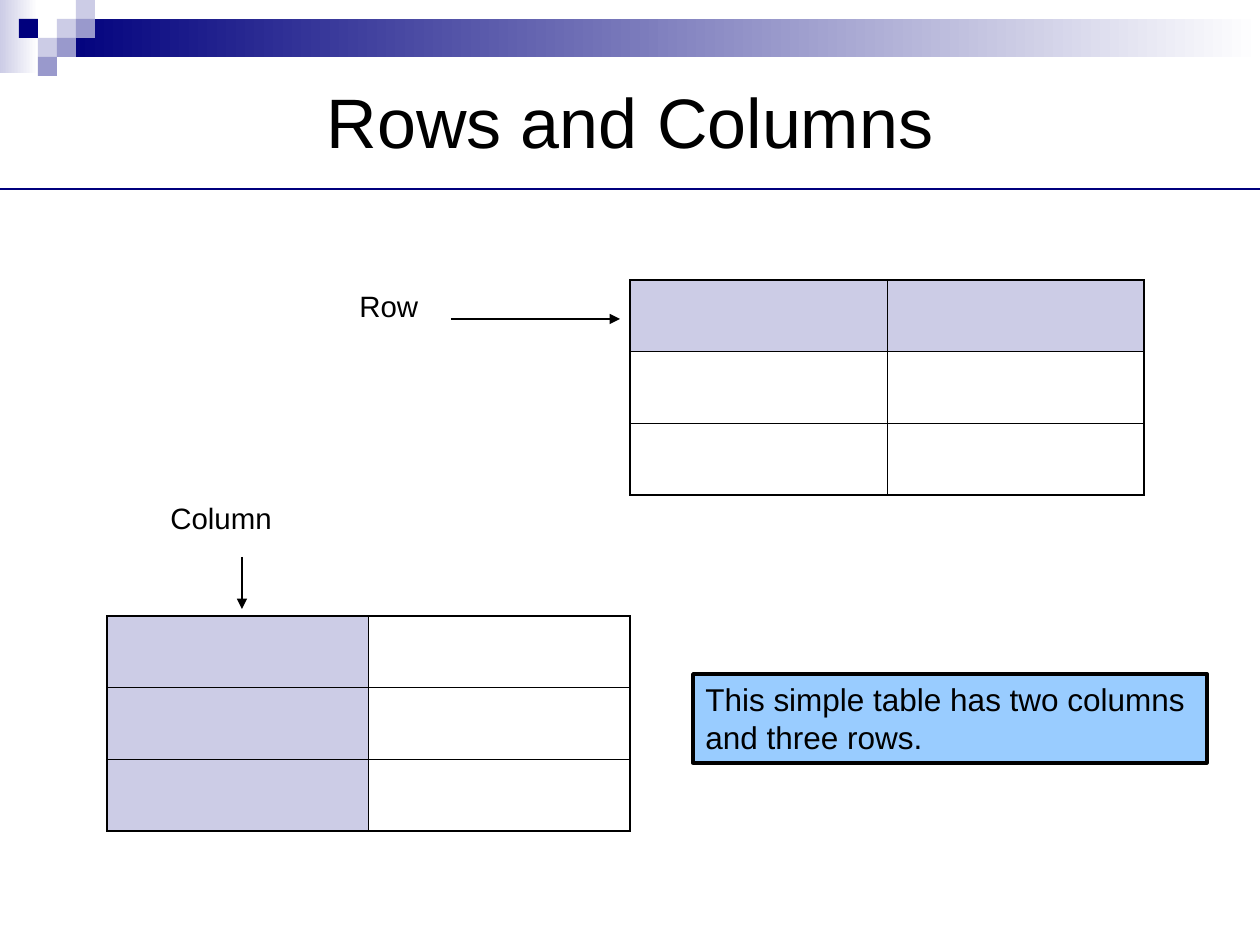
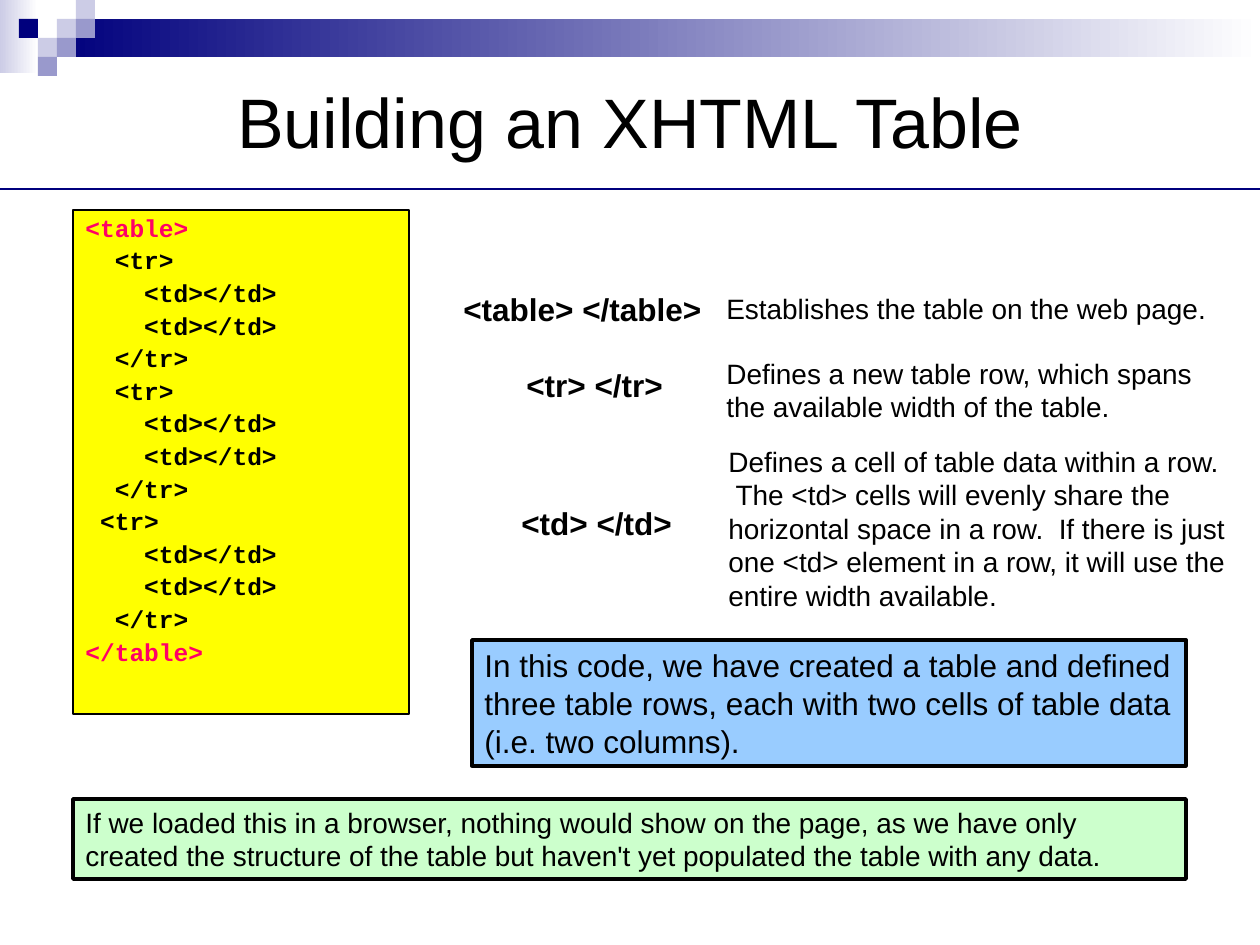
from dataclasses import dataclass

from lxml import etree
from pptx import Presentation
from pptx.dml.color import RGBColor
from pptx.enum.shapes import MSO_CONNECTOR, MSO_SHAPE
from pptx.enum.text import MSO_ANCHOR, MSO_AUTO_SIZE, PP_ALIGN
from pptx.oxml.ns import qn
from pptx.util import Emu, Pt

RECTANGLE = MSO_SHAPE.RECTANGLE
STRAIGHT = MSO_CONNECTOR.STRAIGHT
TOP, MIDDLE = MSO_ANCHOR.TOP, MSO_ANCHOR.MIDDLE
LEFT, CENTER = PP_ALIGN.LEFT, PP_ALIGN.CENTER
FIXED_SIZE = MSO_AUTO_SIZE.NONE

EMU_PER_PX = 914400 / 126
SLIDE_W, SLIDE_H = 1260, 945
TITLE_ONLY = 5
TITLE_BOX = (63, 53, 1134, 136)
RULE_Y = 189


@dataclass(frozen=True)
class Theme:
    white: str = "FFFFFF"
    ink: str = "000000"
    navy: str = "00007D"
    lilac: str = "CCCCE6"
    violet: str = "9999CC"
    sky: str = "99CCFF"
    mint: str = "CCFFCC"
    yellow: str = "FFFF00"
    pink: str = "FF0066"
    sans: str = "Arial"
    mono: str = "Courier New"
    title_size: float = 40
    body_size: float = 18
    label_size: float = 16.8
    note_size: float = 16
    code_size: float = 14
    rule_width: float = 1.25
    thin_line: float = 0.75
    callout_line: float = 2
    grid_outer: float = 1.08
    grid_inner: float = 0.45


THEME = Theme()

CODE_LINES = [
    "<table>",
    "  <tr>",
    "    <td></td>",
    "    <td></td>",
    "  </tr>",
    "  <tr>",
    "    <td></td>",
    "    <td></td>",
    "  </tr>",
    " <tr>",
    "    <td></td>",
    "    <td></td>",
    "  </tr>",
    "</table>",
]

TAG_DEFINITIONS = [
    ("<table> </table>", (0, 0, 315, 53),
     "Establishes the table on the web page.", (263, 1, 523, 47)),
    ("<tr> </tr>", (63, 76, 189, 63),
     "Defines a new table row, which spans the available width of the table.",
     (263, 66, 523, 81)),
    ("<td> </td>", (58, 214, 199, 73),
     "Defines a cell of table data within a row.  The <td> cells will evenly "
     "share the horizontal space in a row.  If there is just one <td> element "
     "in a row, it will use the entire width available.", (265, 154, 523, 181)),
]


def px(length):
    return Emu(round(length * EMU_PER_PX))


def scaled(box):
    return [px(length) for length in box]


def rgb(color):
    return RGBColor.from_string(color)


def write(frame, *lines, size=THEME.body_size, font=THEME.sans, color=THEME.ink,
          bold=False, align=LEFT, anchor=TOP, before=0, after=0, spacing=1.0,
          line_colors=None):
    frame.word_wrap = True
    frame.auto_size = FIXED_SIZE
    frame.vertical_anchor = anchor
    for index, line in enumerate(lines):
        paragraph = frame.add_paragraph() if index else frame.paragraphs[0]
        paragraph.alignment = align
        paragraph.space_before = Pt(before)
        paragraph.space_after = Pt(after)
        paragraph.line_spacing = spacing
        run = paragraph.add_run()
        run.text = line
        run.font.name = font
        run.font.size = Pt(size)
        run.font.bold = bold
        run.font.color.rgb = rgb((line_colors or {}).get(line, color))


def add_label(slide, box, text, **text_format):
    write(slide.shapes.add_textbox(*scaled(box)).text_frame, text, **text_format)


def add_box(slide, box, fill, line_width=None):
    panel = slide.shapes.add_shape(RECTANGLE, *scaled(box))
    panel.shadow.inherit = False
    if isinstance(fill, tuple):
        panel.fill.gradient()
        panel.fill.gradient_angle = 180
        for stop, color in zip(panel.fill.gradient_stops, fill):
            stop.color.rgb = rgb(color)
    else:
        panel.fill.solid()
        panel.fill.fore_color.rgb = rgb(fill)
    if line_width:
        panel.line.color.rgb = rgb(THEME.ink)
        panel.line.width = Pt(line_width)
    else:
        panel.line.fill.background()
    return panel


def add_callout(slide, box, text, fill=THEME.sky, size=THEME.body_size):
    callout = add_box(slide, box, fill, THEME.callout_line)
    write(callout.text_frame, text, size=size, before=6, after=6)


def add_line(slide, start, end, color=THEME.ink, width=THEME.thin_line, arrow=False):
    line = slide.shapes.add_connector(STRAIGHT, *scaled(start + end))
    line.line.color.rgb = rgb(color)
    line.line.width = Pt(width)
    properties = line._element.spPr
    if arrow:
        etree.SubElement(properties.find(qn("a:ln")), qn("a:tailEnd"), type="triangle")
    etree.SubElement(properties, qn("a:effectLst"))


def add_header_band(slide, box):
    x, y, width, unit = box
    add_box(slide, (x, y, 2 * unit, 73), (THEME.white, THEME.lilac))
    add_box(slide, (x + 3 * unit, y + unit, width - 3 * unit, 2 * unit),
            (THEME.white, THEME.navy))
    tiles = {
        THEME.lilac: [(3, 1), (4, 0), (2, 2)],
        THEME.violet: [(4, 1), (3, 2), (2, 3)],
        THEME.navy: [(1, 1)],
    }
    for color, places in tiles.items():
        for column, row in places:
            add_box(slide, (x + column * unit, y + row * unit, unit, unit), color)


def add_titled_slide(deck, title):
    slide = deck.slides.add_slide(deck.slide_layouts[TITLE_ONLY])
    add_header_band(slide, (0, 0, SLIDE_W, 19))
    heading = slide.shapes.title
    heading.left, heading.top, heading.width, heading.height = scaled(TITLE_BOX)
    write(heading.text_frame, title, size=THEME.title_size, align=CENTER, anchor=MIDDLE)
    add_line(slide, (0, RULE_Y), (SLIDE_W, RULE_Y), THEME.navy, THEME.rule_width)
    return slide


def set_borders(cell, outer_sides):
    properties = cell._tc.get_or_add_tcPr()
    for side in "LRTB":
        width = THEME.grid_outer if side in outer_sides else THEME.grid_inner
        border = etree.SubElement(properties, qn(f"a:ln{side}"), w=str(Pt(width)))
        solid = etree.SubElement(border, qn("a:solidFill"))
        etree.SubElement(solid, qn("a:srgbClr"), val=THEME.ink)


def add_grid(slide, box, is_highlighted, rows=3, columns=2):
    grid = slide.shapes.add_table(rows, columns, *scaled(box)).table
    grid.first_row = grid.horz_banding = False
    for row in range(rows):
        for column in range(columns):
            cell = grid.cell(row, column)
            edges = {"L": column == 0, "R": column == columns - 1,
                     "T": row == 0, "B": row == rows - 1}
            set_borders(cell, [side for side, outer in edges.items() if outer])
            if is_highlighted(row, column):
                cell.fill.solid()
                cell.fill.fore_color.rgb = rgb(THEME.lilac)
            else:
                cell.fill.background()


def add_row_example(slide, box):
    x, y, width, height = box
    add_label(slide, (x - 283, y + 2, 126, 53), "Row", size=THEME.label_size, before=6)
    add_line(slide, (x - 179, y + 39), (x - 10, y + 39), arrow=True)
    add_grid(slide, box, lambda row, column: row == 0)


def add_column_example(slide, box):
    x, y, width, height = box
    add_label(slide, (x + 51, y - 122, 179, 53), "Column",
              size=THEME.label_size, before=6)
    add_line(slide, (x + 135, y - 59), (x + 135, y - 7), arrow=True)
    add_grid(slide, box, lambda row, column: column == 0)


def add_code(slide, box):
    listing = add_box(slide, box, THEME.yellow, THEME.thin_line)
    write(listing.text_frame, *CODE_LINES, size=THEME.code_size, font=THEME.mono,
          bold=True, before=3.5, spacing=0.9,
          line_colors={"<table>": THEME.pink, "</table>": THEME.pink})


def add_tag_definitions(slide, origin):
    def placed(box):
        return (origin[0] + box[0], origin[1] + box[1], *box[2:])

    for tag, tag_box, meaning, meaning_box in TAG_DEFINITIONS:
        add_label(slide, placed(tag_box), tag, bold=True, before=4.5)
        add_label(slide, placed(meaning_box), meaning, size=THEME.note_size)


def build_rows_and_columns(deck):
    slide = add_titled_slide(deck, "Rows and Columns")
    add_row_example(slide, (630, 280, 514, 215))
    add_column_example(slide, (107, 616, 523, 215))
    add_callout(slide, (693, 674, 514, 89),
                "This simple table has two columns and three rows.")


def build_xhtml_table(deck):
    slide = add_titled_slide(deck, "Building an XHTML Table")
    add_code(slide, (73, 210, 336, 504))
    add_tag_definitions(slide, (451, 284))
    add_callout(slide, (472, 640, 714, 126),
                "In this code, we have created a table and defined three table rows, "
                "each with two cells of table data (i.e. two columns).")
    add_callout(slide, (73, 799, 1113, 80),
                "If we loaded this in a browser, nothing would show on the page, as we "
                "have only created the structure of the table but haven't yet populated "
                "the table with any data.", fill=THEME.mint, size=THEME.note_size)


def main():
    deck = Presentation()
    deck.slide_width, deck.slide_height = px(SLIDE_W), px(SLIDE_H)
    build_rows_and_columns(deck)
    build_xhtml_table(deck)
    deck.save("out.pptx")


if __name__ == "__main__":
    main()
